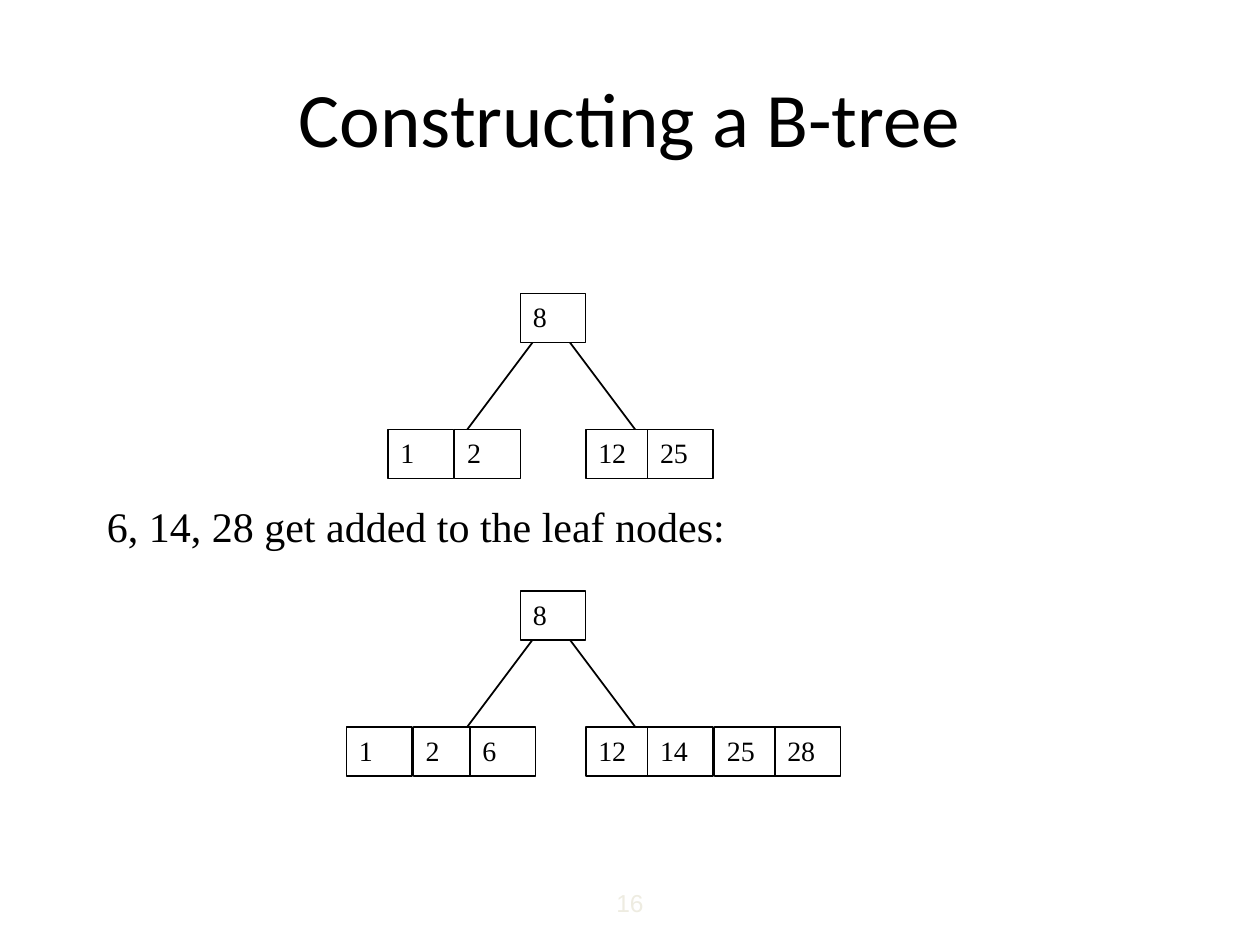
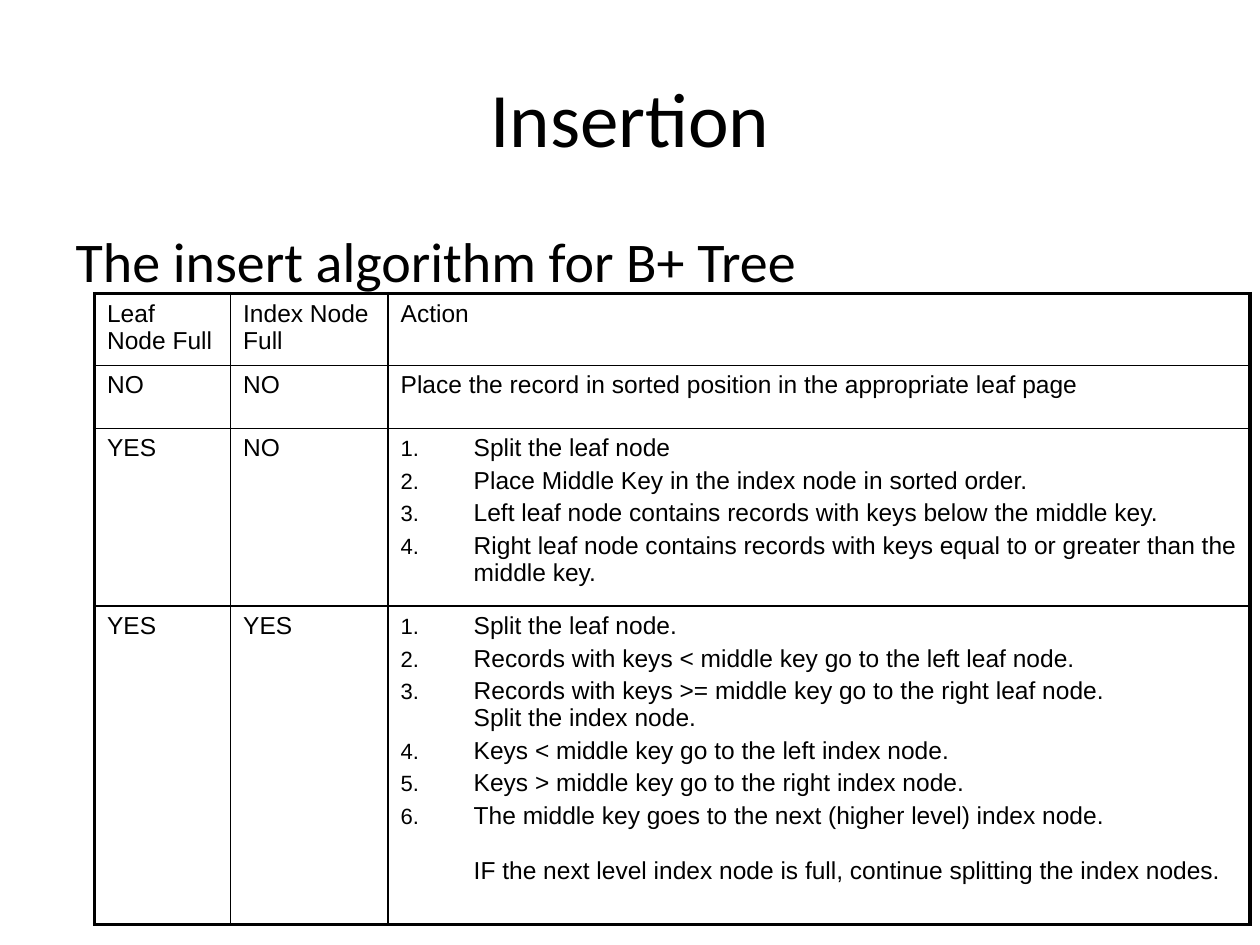
import dataclasses

import lxml.etree
import pptx
import pptx.dml.color
import pptx.enum.shapes
import pptx.enum.text
import pptx.oxml
import pptx.oxml.ns
import pptx.util

Inches = pptx.util.Inches
Pt = pptx.util.Pt
qn = pptx.oxml.ns.qn


@dataclasses.dataclass(frozen=True)
class Theme:
    ink: str = "000000"
    paper: str = "FFFFFF"
    faint: str = "EEECE1"
    heading_font: str = "Calibri"
    tree_font: str = "Times New Roman"
    table_font: str = "Arial"
    title_size: int = 44
    body_size: int = 32
    caption_size: int = 24
    key_size: int = 16
    table_size: int = 14
    thin: float = 0.75
    normal: float = 1
    thick: float = 2.25


THEME = Theme()
TITLE_BOX = (0.5, 0.3, 9, 1.25)
BODY_BOX = (0.5, 1.75, 9, 4.95)
NODE_SIZE = (0.52, 0.39)
ROOT_LEFT = 1.38
LEAF_TOP = 1.08
BRANCHES = ((1.58, 0.83), (1.67, 2.42))
STEP_INDENT = 0.58

TREE_BEFORE = {"1": 0.33, "2": 0.86, "12": 1.9, "25": 2.39}
TREE_AFTER = {"1": 0, "2": 0.53, "6": 0.98,
              "12": 1.9, "14": 2.39, "25": 2.92, "28": 3.4}

COLUMN_WIDTHS = (1.08, 1.25, 6.84)
ROW_HEIGHTS = (0.57, 0.5, 1.41, 2.53)
RULES = (
    ("Leaf Node Full", "Index Node Full", ["Action"]),
    ("NO", "NO", ["Place the record in sorted position in the appropriate leaf page"]),
    ("YES", "NO", [
        "Split the leaf node",
        "Place Middle Key in the index node in sorted order.",
        "Left leaf node contains records with keys below the middle key.",
        "Right leaf node contains records with keys equal to or greater than the middle key.",
    ]),
    ("YES", "YES", [
        "Split the leaf node.",
        "Records with keys < middle key go to the left leaf node.",
        "Records with keys >= middle key go to the right leaf node.\vSplit the index node.",
        "Keys < middle key go to the left index node.",
        "Keys > middle key go to the right index node.",
        "The middle key goes to the next (higher level) index node.",
    ]),
)
OVERFLOW_NOTE = "IF the next level index node is full, continue splitting the index nodes."


def rgb(colour):
    return pptx.dml.color.RGBColor.from_string(colour)


def box_lengths(box):
    return [Inches(length) for length in box]


def format_runs(paragraph, font, size, colour=THEME.ink):
    for run in paragraph.runs:
        run.font.name = font
        run.font.size = Pt(size)
        run.font.color.rgb = rgb(colour)


def fill_placeholder(placeholder, box, text, size):
    placeholder.left, placeholder.top, placeholder.width, placeholder.height = box_lengths(box)
    placeholder.text_frame.text = text
    paragraph = placeholder.text_frame.paragraphs[0]
    format_runs(paragraph, THEME.heading_font, size)
    return paragraph


def titled_slide(deck, layout, title):
    slide = deck.slides.add_slide(deck.slide_layouts[layout])
    fill_placeholder(slide.shapes.title, TITLE_BOX, title, THEME.title_size)
    return slide


def set_indent(paragraph, left, first):
    properties = paragraph._p.get_or_add_pPr()
    properties.set("marL", str(Inches(left)))
    properties.set("indent", str(Inches(first)))
    return properties


def draw_branch(shapes, start, end):
    branch = shapes.add_connector(
        pptx.enum.shapes.MSO_CONNECTOR.STRAIGHT, *box_lengths(start + end))
    branch.line.color.rgb = rgb(THEME.ink)
    branch.line.width = Pt(THEME.normal)
    lxml.etree.SubElement(branch._element.spPr, qn("a:effectLst"))


def draw_node(shapes, left, top, key):
    node = shapes.add_shape(
        pptx.enum.shapes.MSO_SHAPE.RECTANGLE, *box_lengths((left, top) + NODE_SIZE))
    node.shadow.inherit = False
    node.fill.solid()
    node.fill.fore_color.rgb = rgb(THEME.paper)
    node.line.color.rgb = rgb(THEME.ink)
    node.line.width = Pt(THEME.thin)
    node.text_frame.text = key
    node.text_frame.vertical_anchor = pptx.enum.text.MSO_ANCHOR.TOP
    paragraph = node.text_frame.paragraphs[0]
    paragraph.alignment = pptx.enum.text.PP_ALIGN.LEFT
    format_runs(paragraph, THEME.tree_font, THEME.key_size)


def draw_tree(shapes, left, top, root, leaves):
    for start, end in BRANCHES:
        draw_branch(shapes, (left + start, top + 0.25), (left + end, top + 1.25))
    draw_node(shapes, left + ROOT_LEFT, top, root)
    for key, offset in leaves.items():
        draw_node(shapes, left + offset, top + LEAF_TOP, key)


def add_text(shapes, box, text, font, size, colour=THEME.ink):
    holder = shapes.add_textbox(*box_lengths(box))
    holder.text_frame.word_wrap = True
    holder.text_frame.text = text
    paragraph = holder.text_frame.paragraphs[0]
    format_runs(paragraph, font, size, colour)
    return paragraph


def add_page_number(slide, box, number):
    paragraph = add_text(slide.shapes, box, number, THEME.table_font,
                         THEME.table_size, THEME.faint)
    paragraph.alignment = pptx.enum.text.PP_ALIGN.CENTER
    field = paragraph.runs[0]._r
    field.tag = qn("a:fld")
    field.set("id", "{B6F15528-21DE-4FAA-801E-634DDDAF4B2B}")
    field.set("type", "slidenum")


def tree_slide(deck):
    slide = titled_slide(deck, 5, "Constructing a B-tree")
    draw_tree(slide.shapes, 2.75, 2.33, "8", TREE_BEFORE)
    insertion = slide.shapes.add_group_shape().shapes
    add_text(insertion, (0.75, 3.92, 8.58, 0.5), "6, 14, 28 get added to the leaf nodes:",
             THEME.tree_font, THEME.caption_size)
    draw_tree(insertion, 2.75, 4.69, "8", TREE_AFTER)
    add_page_number(slide, (3.5, 7, 3, 0.32), "16")


def set_borders(cell, outer_sides):
    properties = cell._tc.get_or_add_tcPr()
    for side in "LRTB":
        width = THEME.thick if side in outer_sides else THEME.normal
        border = lxml.etree.SubElement(properties, qn("a:ln" + side), w=str(Pt(width)))
        fill = lxml.etree.SubElement(border, qn("a:solidFill"))
        lxml.etree.SubElement(fill, qn("a:srgbClr"), val=THEME.ink)
    cell.fill.background()


def number_step(paragraph):
    properties = set_indent(paragraph, STEP_INDENT, -STEP_INDENT)
    lxml.etree.SubElement(properties, qn("a:buSzPct"), val="90000")
    lxml.etree.SubElement(properties, qn("a:buFont"), typeface=THEME.table_font)
    lxml.etree.SubElement(properties, qn("a:buAutoNum"), type="arabicPeriod")


def add_lines(cell, lines):
    for index, line in enumerate(lines):
        frame = cell.text_frame
        paragraph = frame.add_paragraph() if index else frame.paragraphs[0]
        paragraph.text = line
        paragraph.space_before = Pt(0.2 * THEME.table_size)
        format_runs(paragraph, THEME.table_font, THEME.table_size)
        if len(lines) > 1:
            number_step(paragraph)


def add_overflow_note(cell):
    note = cell.text_frame.add_paragraph()
    note.text = OVERFLOW_NOTE
    note.space_before = Pt(16)
    set_indent(note, STEP_INDENT, 0)
    format_runs(note, THEME.table_font, THEME.table_size)


def add_rules_table(slide, left, top):
    box = (left, top, sum(COLUMN_WIDTHS), sum(ROW_HEIGHTS))
    rules = slide.shapes.add_table(len(RULES), len(COLUMN_WIDTHS), *box_lengths(box)).table
    rules.first_row = rules.horz_banding = False
    for column, width in zip(rules.columns, COLUMN_WIDTHS):
        column.width = Inches(width)
    last_row, last_column = len(RULES) - 1, len(COLUMN_WIDTHS) - 1
    for r, (leaf_full, index_full, actions) in enumerate(RULES):
        rules.rows[r].height = Inches(ROW_HEIGHTS[r])
        for c, lines in enumerate(([leaf_full], [index_full], actions)):
            edges = {"L": c == 0, "R": c == last_column, "T": r == 0, "B": r == last_row}
            cell = rules.cell(r, c)
            set_borders(cell, [side for side, outer in edges.items() if outer])
            add_lines(cell, lines)
    add_overflow_note(rules.cell(last_row, last_column))


def insertion_slide(deck):
    slide = titled_slide(deck, 1, "Insertion")
    lead = fill_placeholder(slide.placeholders[1], BODY_BOX,
                            "The insert algorithm for B+ Tree", THEME.body_size)
    lead.space_before = Pt(0.2 * THEME.body_size)
    lxml.etree.SubElement(set_indent(lead, 0.38, -0.38), qn("a:buNone"))
    add_rules_table(slide, 0.75, 2.33)


def main():
    deck = pptx.Presentation()
    deck.slide_width, deck.slide_height = Inches(10), Inches(7.5)
    deck.element.set("firstSlideNum", "16")
    tree_slide(deck)
    insertion_slide(deck)
    deck.save("out.pptx")


if __name__ == "__main__":
    main()
